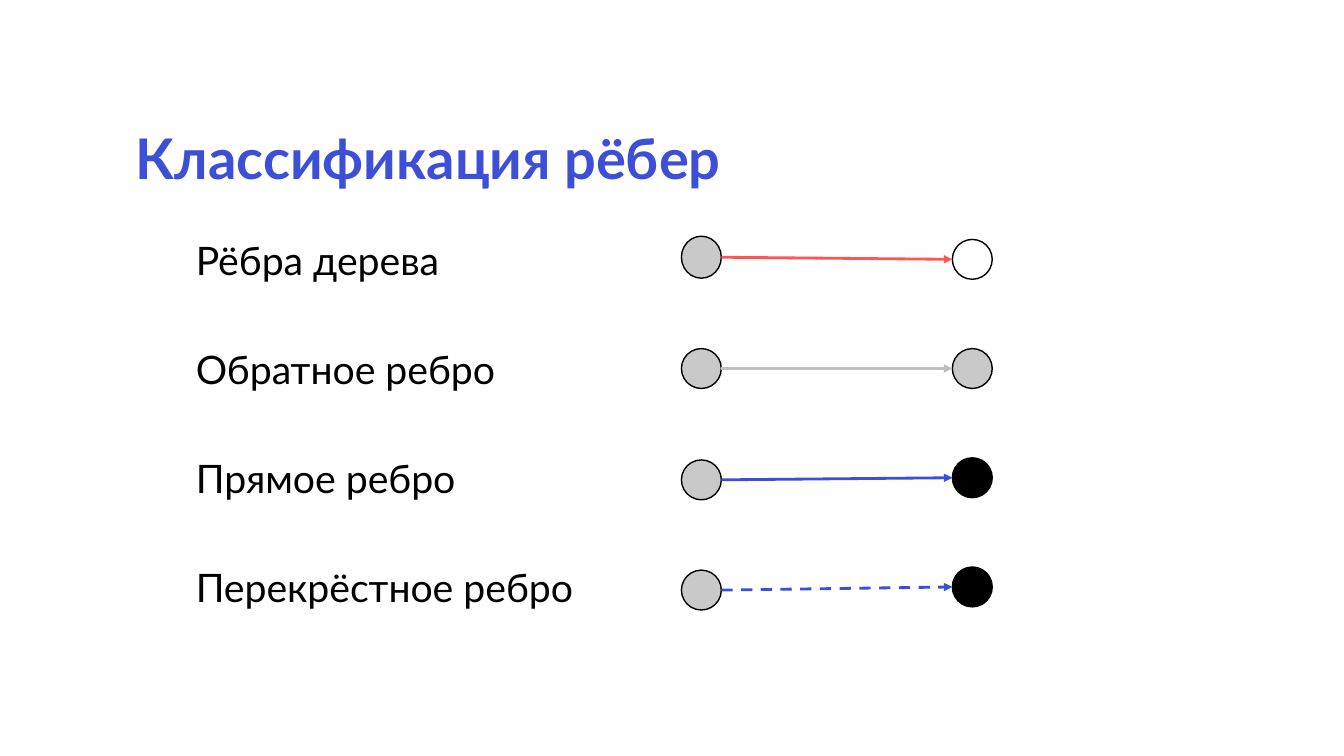
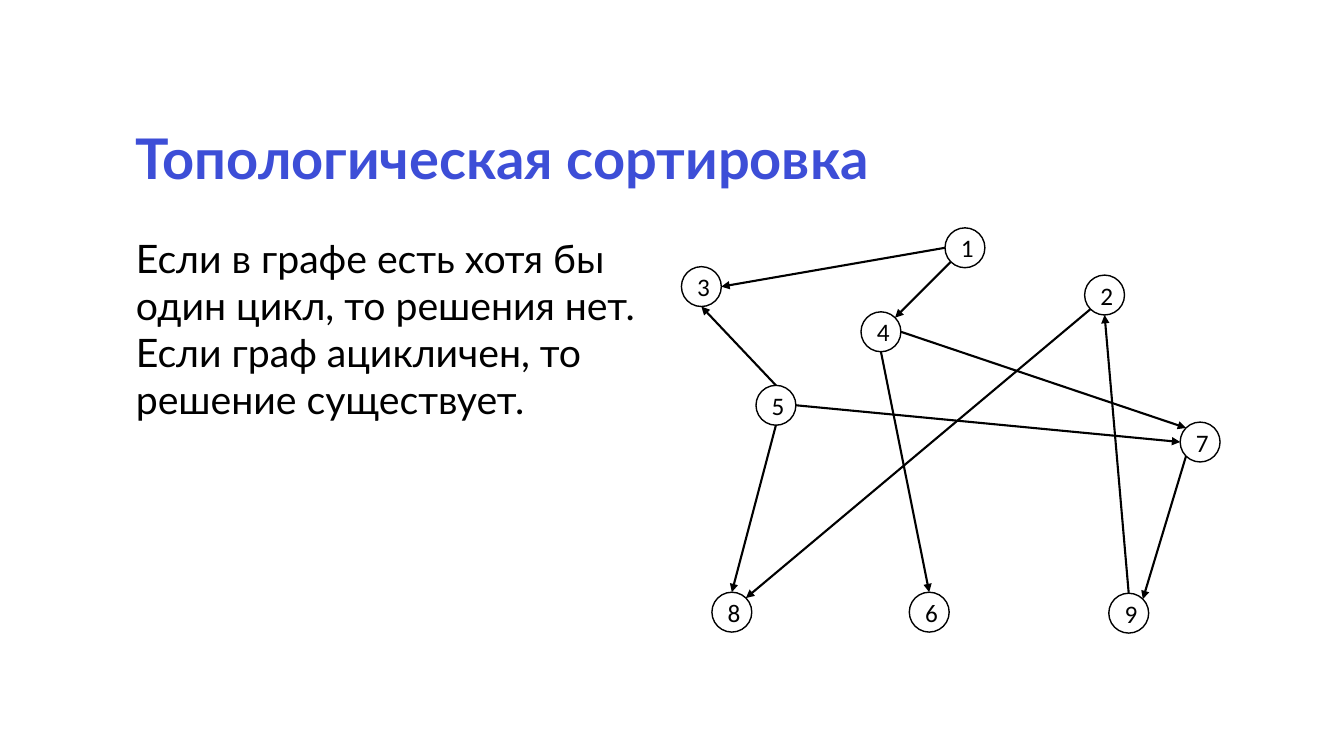
from math import hypot

from lxml.etree import SubElement
from pptx import Presentation
from pptx.dml.color import RGBColor
from pptx.enum.dml import MSO_LINE_DASH_STYLE as Dash
from pptx.enum.shapes import MSO_CONNECTOR as Connector, MSO_SHAPE as Shape
from pptx.enum.text import MSO_ANCHOR as Anchor, PP_ALIGN as Align
from pptx.oxml.ns import qn
from pptx.util import Pt

EMU_PER_PX = 9525

# Sides of a node, as directions from its centre
TOP, BOTTOM, LEFT, RIGHT = (0, -1), (0, 1), (-1, 0), (1, 0)
TOP_LEFT, TOP_RIGHT, BOTTOM_LEFT = (-1, -1), (1, -1), (-1, 1)


def px(length):
    return round(length * EMU_PER_PX)


def color(value):
    return RGBColor.from_string(value)


def rim_point(node, side):
    """Point in EMU where the given direction meets the ellipse."""
    reach = 2 * hypot(*side)
    return (round(node.left + node.width / 2 + node.width * side[0] / reach),
            round(node.top + node.height / 2 + node.height * side[1] / reach))


class Slides:
    BLUE, RED, SILVER = "3D4ED7", "FF5555", "BFBFBF"
    BLACK, WHITE, GRAY = "000000", "FFFFFF", "C9C9C9"
    TEXT_FONT, NODE_FONT = "Lato", "Calibri"
    NODE_SIZE = 38

    def __init__(self):
        self.deck = Presentation()
        self.deck.slide_width, self.deck.slide_height = px(1280), px(720)
        self.page = None

    def new_page(self, title):
        self.page = self.deck.slides.add_slide(self.deck.slide_layouts[6])
        box = self.text([title], 120, 120, 731, 77, 40, self.BLUE, bold=True)
        box.text_frame.paragraphs[0].line_spacing = 0.9

    def style_text(self, frame, font, size, ink, bold=False):
        for para in frame.paragraphs:
            for span in para.runs:
                span.font.name = font
                span.font.size = Pt(size)
                span.font.bold = bold
                span.font.color.rgb = color(ink)

    def text(self, lines, left, top, width, height, size=28, ink=BLACK, bold=False):
        box = self.page.shapes.add_textbox(px(left), px(top), px(width), px(height))
        box.text_frame.word_wrap = True
        box.text_frame.text = "\n".join(lines)
        self.style_text(box.text_frame, self.TEXT_FONT, size, ink, bold)
        return box

    def node(self, left, top, fill=WHITE, label="", height=NODE_SIZE):
        node = self.page.shapes.add_shape(
            Shape.OVAL, px(left), px(top), px(self.NODE_SIZE), px(height))
        node.shadow.inherit = False
        node.fill.solid()
        node.fill.fore_color.rgb = color(fill)
        node.line.color.rgb = color(self.BLACK)
        node.line.width = Pt(1)
        if label:
            frame = node.text_frame
            frame.text = label
            frame.vertical_anchor = Anchor.MIDDLE
            frame.paragraphs[0].alignment = Align.CENTER
            self.style_text(frame, self.NODE_FONT, 18, self.BLACK)
        return node

    def arrow(self, start, start_side, end, end_side, ink=BLACK, width=1.5, dash=None):
        arrow = self.page.shapes.add_connector(
            Connector.STRAIGHT, *rim_point(start, start_side), *rim_point(end, end_side))
        arrow.line.color.rgb = color(ink)
        arrow.line.width = Pt(width)
        if dash:
            arrow.line.dash_style = dash
        SubElement(arrow.line._get_or_add_ln(), qn("a:tailEnd"), type="triangle")
        SubElement(arrow._element.spPr, qn("a:effectLst"))


def edge_types(slides):
    slides.new_page("Классификация рёбер")
    # Label, top and height of the left node, right fill, arrow colour and dash
    rows = [
        ("Рёбра дерева", 225, 40, slides.WHITE, slides.RED, None),
        ("Обратное ребро", 332, 38, slides.GRAY, slides.SILVER, None),
        ("Прямое ребро", 438, 38, slides.BLACK, slides.BLUE, None),
        ("Перекрёстное ребро", 543, 38, slides.BLACK, slides.BLUE, Dash.DASH),
    ]
    for index, (label, start_top, height, fill, ink, dash) in enumerate(rows):
        offset = 104 * index
        slides.text([label], 177, 220 + offset, 400, 55)
        start = slides.node(649, start_top, slides.GRAY, height=height)
        end = slides.node(907, 228 + offset, fill)
        slides.arrow(start, RIGHT, end, LEFT, ink, 2, dash)


def topological_sort(slides):
    slides.new_page("Топологическая сортировка")
    slides.text(["Если в графе есть хотя бы один цикл, то решения нет.",
                 "Если граф ацикличен, то решение существует."], 120, 218, 519, 191)

    # Graph nodes: number and top left corner
    places = {1: (900, 217), 2: (1033, 262), 3: (649, 254),
              4: (820, 297), 5: (720, 367), 6: (866, 564),
              7: (1124, 402), 8: (678, 564), 9: (1056, 565)}
    nodes = {number: slides.node(*place, label=str(number))
             for number, place in places.items()}

    # Graph edges
    edges = [
        (1, LEFT, 3, RIGHT),
        (1, BOTTOM_LEFT, 4, TOP_RIGHT),
        (2, BOTTOM_LEFT, 8, TOP_RIGHT),
        (4, RIGHT, 7, TOP_LEFT),
        (4, BOTTOM, 6, TOP),
        (5, TOP, 3, BOTTOM),
        (5, RIGHT, 7, LEFT),
        (5, BOTTOM, 8, TOP),
        (7, BOTTOM_LEFT, 9, TOP_RIGHT),
        (9, TOP, 2, BOTTOM),
    ]
    for start, start_side, end, end_side in edges:
        slides.arrow(nodes[start], start_side, nodes[end], end_side)


def main():
    slides = Slides()
    edge_types(slides)
    topological_sort(slides)
    slides.deck.save("out.pptx")


if __name__ == "__main__":
    main()
